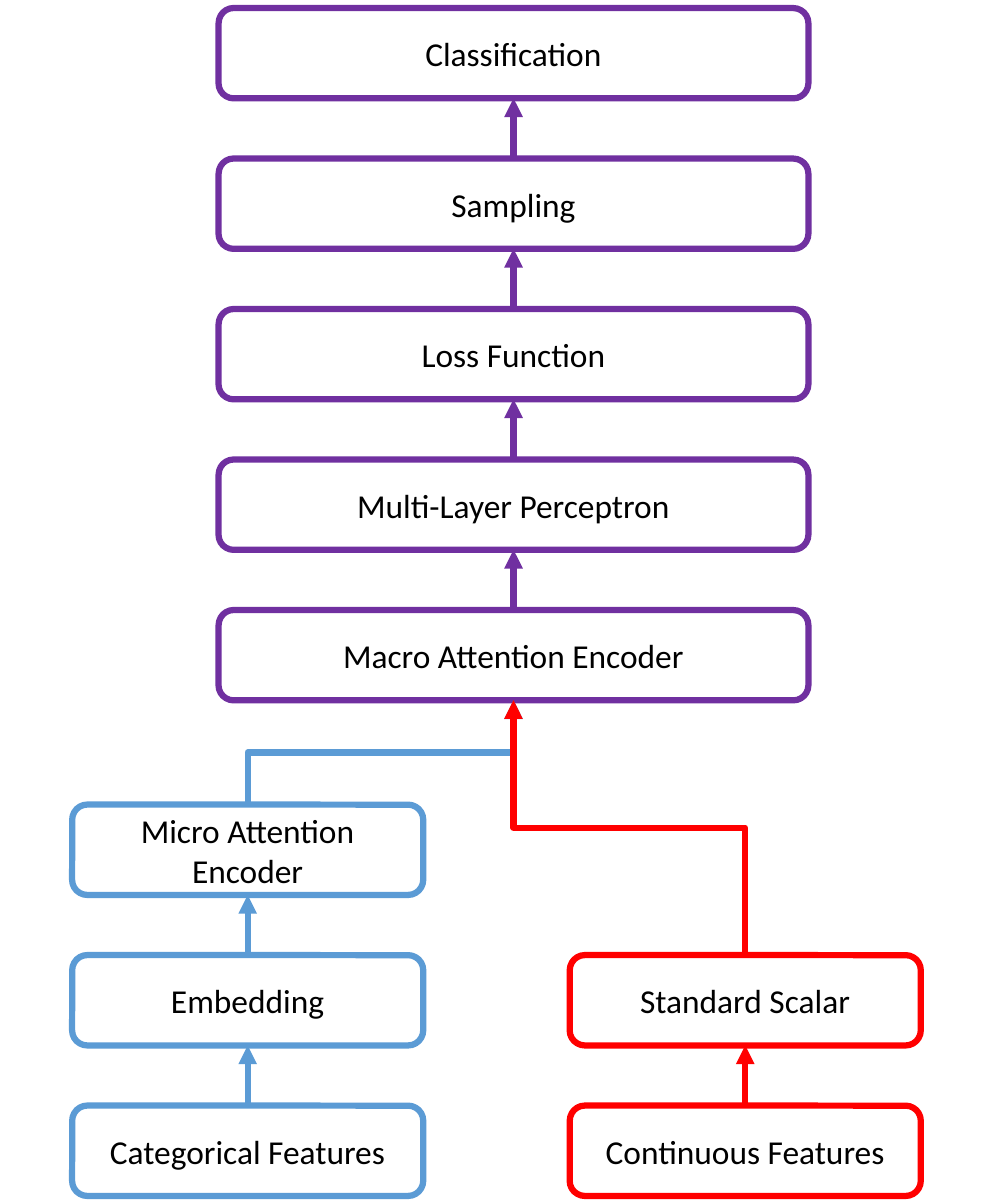
"""Draw a two-branch attention network as a flow of boxes, bottom to top."""
from lxml import etree
from pptx import Presentation
from pptx.dml.color import RGBColor
from pptx.enum.shapes import MSO_CONNECTOR, MSO_SHAPE
from pptx.enum.text import MSO_ANCHOR, PP_ALIGN
from pptx.oxml.ns import qn
from pptx.util import Inches, Pt

ROUND = MSO_SHAPE.ROUNDED_RECTANGLE
LINE, ELBOW = MSO_CONNECTOR.STRAIGHT, MSO_CONNECTOR.ELBOW
MIDDLE, CENTER = MSO_ANCHOR.MIDDLE, PP_ALIGN.CENTER
BLUE = RGBColor(0x5B, 0x9B, 0xD5)
RED = RGBColor(0xFF, 0x00, 0x00)
PURPLE = RGBColor(0x70, 0x30, 0xA0)
WHITE = RGBColor(0xFF, 0xFF, 0xFF)
BLACK = RGBColor(0x00, 0x00, 0x00)

ROW, HIGH = Inches(0.75), Inches(0.45)
WIDE, SLIM = Inches(2.94), Inches(1.75)
PAD_X, PAD_Y = Inches(0.04), Inches(0.02)
STROKE = Pt(2.25)

deck = Presentation()
deck.slide_width, deck.slide_height = Inches(5), Inches(6)
slide = deck.slides.add_slide(deck.slide_layouts[6])


def add_box(text, left, top, width, color):
    """Add one centred, outlined box and return it."""
    box = slide.shapes.add_shape(ROUND, left, top, width, HIGH)
    box.shadow.inherit = False
    box.fill.solid()
    box.fill.fore_color.rgb = WHITE
    box.line.color.rgb = color
    box.line.width = STROKE
    frame = box.text_frame
    frame.word_wrap = True
    frame.vertical_anchor = MIDDLE
    frame.margin_left = frame.margin_right = PAD_X
    frame.margin_top = frame.margin_bottom = PAD_Y
    para = frame.paragraphs[0]
    para.alignment = CENTER
    run = para.add_run()
    run.text = text
    run.font.name = "Calibri"
    run.font.size = Pt(12)
    run.font.color.rgb = BLACK
    return box


def add_arrow(low, high, color):
    """Link the top of the low box to the bottom of the high box."""
    x1, y1 = low.left + low.width // 2, low.top
    x2, y2 = high.left + high.width // 2, high.top + high.height
    if x1 == x2:
        link = slide.shapes.add_connector(LINE, x1, y1, x2, y2)
    else:
        mid_x, mid_y = (x1 + x2) // 2, (y1 + y2) // 2
        half_x, half_y = (x1 - x2) // 2, (y1 - y2) // 2
        link = slide.shapes.add_connector(
            ELBOW, mid_x - half_y, mid_y + half_x, mid_x + half_y, mid_y - half_x)
        link._element.spPr.find(qn("a:xfrm")).set("rot", "16200000")
    link.line.color.rgb = color
    link.line.width = STROKE
    etree.SubElement(link.line._get_or_add_ln(), qn("a:tailEnd"), type="triangle")
    etree.SubElement(link._element.spPr, qn("a:effectLst"))


STACKS = [
    (Inches(1.09), Inches(0.04), WIDE, PURPLE,
     ["Classification", "Sampling", "Loss Function",
      "Multi-Layer Perceptron", "Macro Attention Encoder"]),
    (Inches(0.36), Inches(4.01), SLIM, BLUE,
     ["Micro Attention Encoder", "Embedding", "Categorical Features"]),
    (Inches(2.84), Inches(4.01) + ROW, SLIM, RED,
     ["Standard Scalar", "Continuous Features"]),
]

stacks = []
for left, top, width, color, names in STACKS:
    boxes = [add_box(name, left, top + row * ROW, width, color)
             for row, name in enumerate(names)]
    stacks.append((boxes, color))

macro = stacks[0][0][-1]
for boxes, color in stacks:
    for high, low in zip(boxes, boxes[1:]):
        add_arrow(low, high, color)
    if color != PURPLE:
        add_arrow(boxes[0], macro, color)

deck.save("out.pptx")
